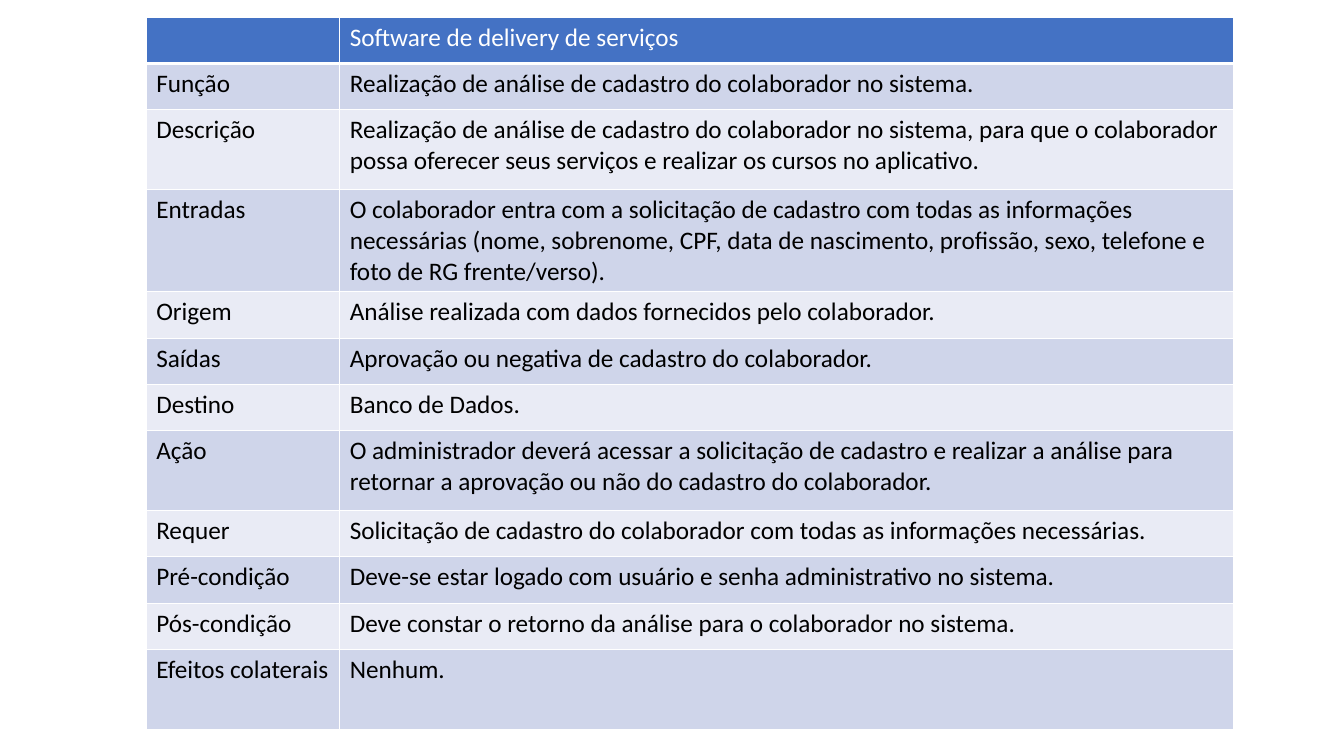
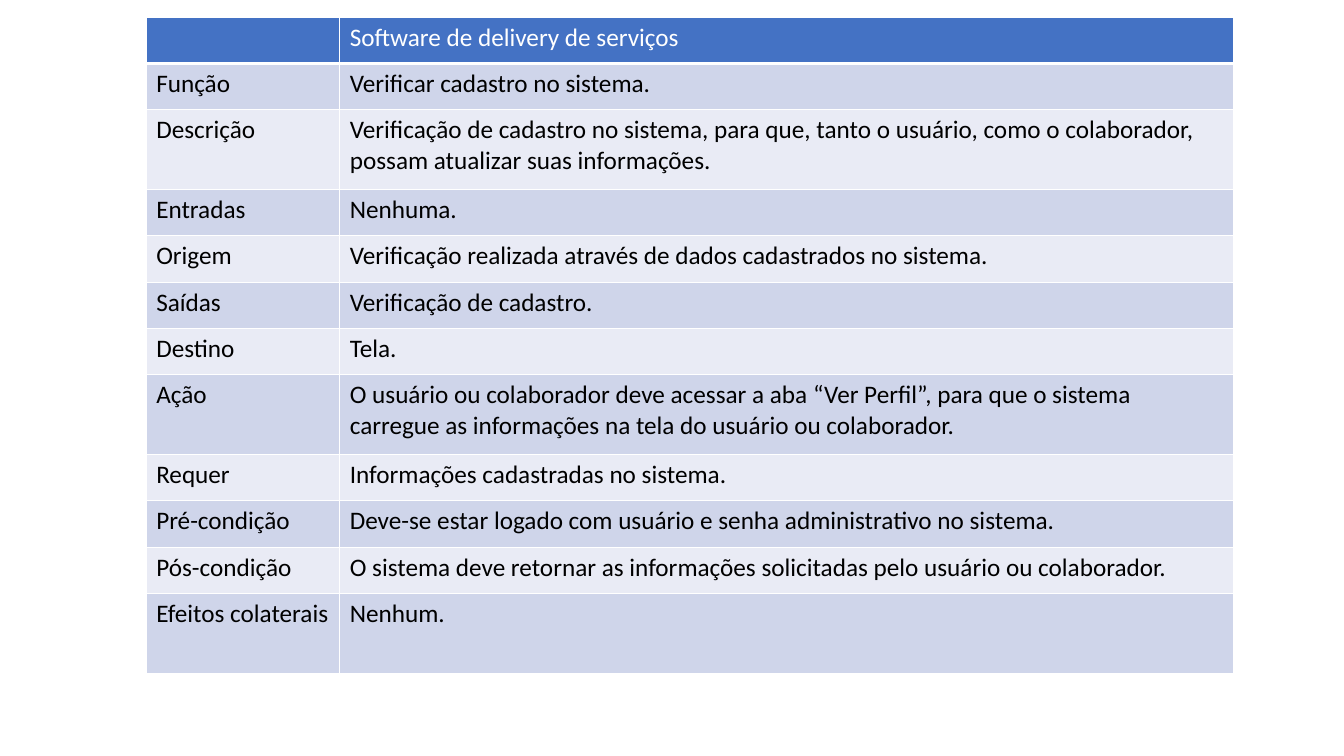
from dataclasses import dataclass
from lxml import etree
from pptx import Presentation, util as u
from pptx.dml.color import RGBColor
from pptx.oxml import ns

HEAD = "Software de delivery de serviços"
LABELS = ("Função", "Descrição", "Entradas", "Origem", "Saídas", "Destino",
          "Ação", "Requer", "Pré-condição", "Pós-condição", "Efeitos colaterais")
LOGIN = "Deve-se estar logado com usuário e senha administrativo no sistema."
CASES = (
    (
        "Realização de análise de cadastro do colaborador no sistema.",
        "Realização de análise de cadastro do colaborador no sistema, para que o "
        "colaborador possa oferecer seus serviços e realizar os cursos no aplicativo.",
        "O colaborador entra com a solicitação de cadastro com todas as informações "
        "necessárias (nome, sobrenome, CPF, data de nascimento, profissão, sexo, "
        "telefone e foto de RG frente/verso).",
        "Análise realizada com dados fornecidos pelo colaborador.",
        "Aprovação ou negativa de cadastro do colaborador.",
        "Banco de Dados.",
        "O administrador deverá acessar a solicitação de cadastro e realizar a análise "
        "para retornar a aprovação ou não do cadastro do colaborador.",
        "Solicitação de cadastro do colaborador com todas as informações necessárias.",
        LOGIN,
        "Deve constar o retorno da análise para o colaborador no sistema.",
        "Nenhum.",
    ),
    (
        "Verificar cadastro no sistema.",
        "Verificação de cadastro no sistema, para que, tanto o usuário, como o "
        "colaborador, possam atualizar suas informações.",
        "Nenhuma.",
        "Verificação realizada através de dados cadastrados no sistema.",
        "Verificação de cadastro.",
        "Tela.",
        "O usuário ou colaborador deve acessar a aba “Ver Perfil”, para que o sistema "
        "carregue as informações na tela do usuário ou colaborador.",
        "Informações cadastradas no sistema.",
        LOGIN,
        "O sistema deve retornar as informações solicitadas pelo usuário ou colaborador.",
        "Nenhum.",
    ),
)


@dataclass(frozen=True)
class Theme:
    font: str = "Calibri"
    size: int = 18
    head: str = "4472C4"
    bands: tuple = ("CFD5EA", "E9EBF5")
    light: str = "FFFFFF"
    dark: str = "000000"
    line: int = 1
    rule: int = 3


THEME = Theme()
WIDE, HIGH = 13.33, 7.5
LEFT, TOP = 1.45, 0.17
COLS = (1.92, 8.87)
SHORT, TALL = 0.46, 0.79
FULL = 90


def border(cell, side, width):
    props = cell._tc.get_or_add_tcPr()
    line = etree.SubElement(props, ns.qn("a:ln" + side), w=str(u.Pt(width)))
    fill = etree.SubElement(line, ns.qn("a:solidFill"))
    etree.SubElement(fill, ns.qn("a:srgbClr"), val=THEME.light)


def style(cell, words, fill, ink, base):
    for side in "LRTB":
        border(cell, side, base if side == "B" else THEME.line)
    cell.fill.solid()
    cell.fill.fore_color.rgb = RGBColor.from_string(fill)
    cell.text_frame.text = words
    para = cell.text_frame.paragraphs[0]
    for font in [para.font] + [run.font for run in para.runs]:
        font.name, font.size, font.bold = THEME.font, u.Pt(THEME.size), False
        font.color.rgb = RGBColor.from_string(ink)


def build(slide, case):
    rows = [("", HEAD), *zip(LABELS, case)]
    last = len(rows) - 1
    highs = [TALL if len(words) > FULL or n == last else SHORT
             for n, (label, words) in enumerate(rows)]
    sizes = [u.Inches(v) for v in (LEFT, TOP, sum(COLS), sum(highs))]
    table = slide.shapes.add_table(len(rows), len(COLS), *sizes).table
    for col, width in zip(table.columns, COLS):
        col.width = u.Inches(width)
    for n, row in enumerate(rows):
        table.rows[n].height = u.Inches(highs[n])
        look = ((THEME.bands[(n - 1) % 2], THEME.dark, THEME.line) if n
                else (THEME.head, THEME.light, THEME.rule))
        for c, words in enumerate(row):
            style(table.cell(n, c), words, *look)


deck = Presentation()
deck.slide_width, deck.slide_height = u.Inches(WIDE), u.Inches(HIGH)
blank = deck.slide_layouts[6]
for case in CASES:
    build(deck.slides.add_slide(blank), case)
deck.save("out.pptx")
